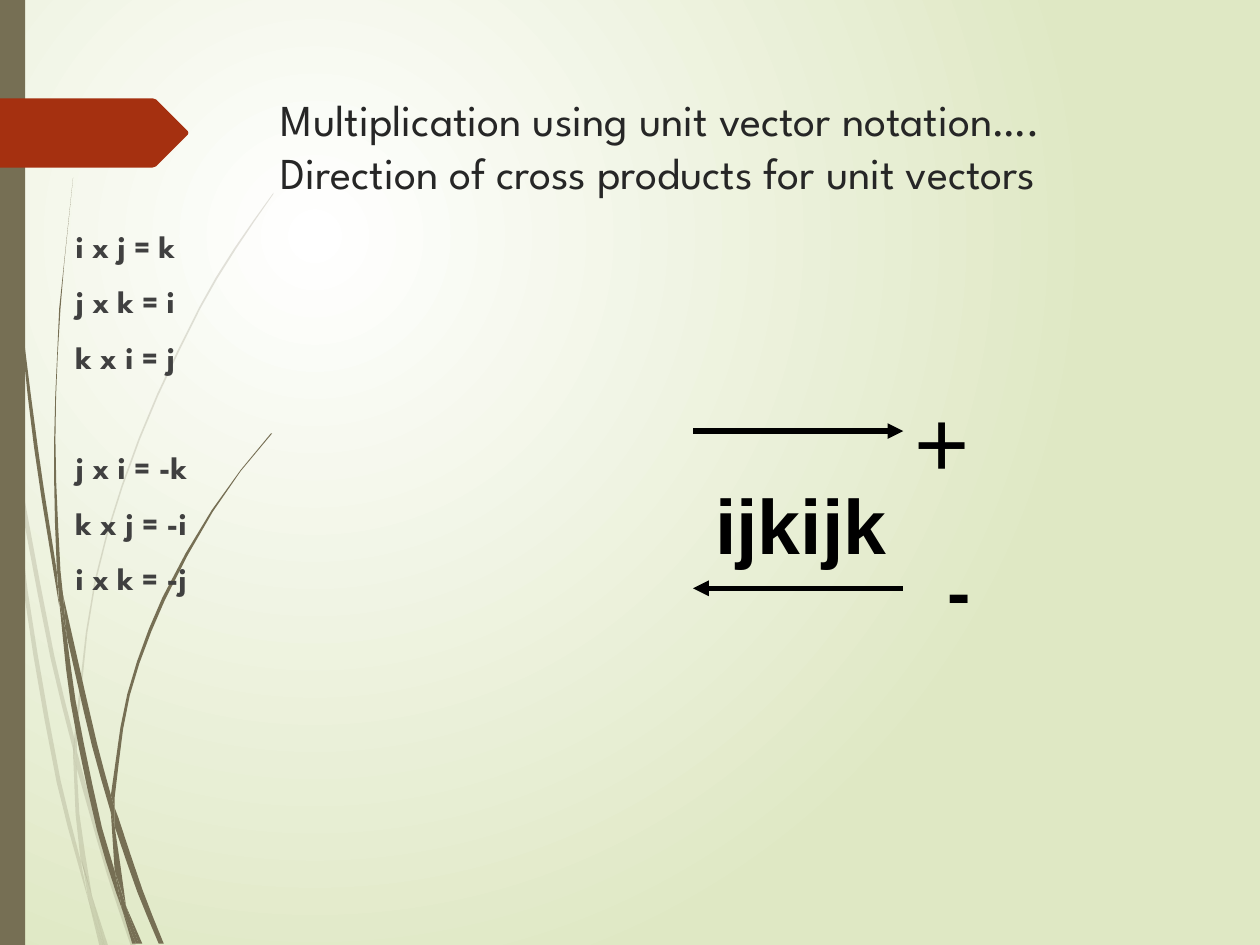
from math import dist
from typing import NamedTuple

from lxml import etree
from pptx import Presentation
from pptx.dml.color import RGBColor
from pptx.enum.shapes import MSO_CONNECTOR, MSO_SHAPE
from pptx.enum.text import MSO_ANCHOR, MSO_AUTO_SIZE, PP_ALIGN
from pptx.oxml.ns import qn
from pptx.util import Cm, Pt

STRAIGHT = MSO_CONNECTOR.STRAIGHT
RECTANGLE = MSO_SHAPE.RECTANGLE
TOP = MSO_ANCHOR.TOP
LEFT = PP_ALIGN.LEFT
FIXED_SIZE = MSO_AUTO_SIZE.NONE

WHITE = RGBColor(0xFF, 0xFF, 0xFF)
PALE_GREEN = RGBColor(0xDF, 0xE8, 0xC4)
OLIVE = RGBColor(0x76, 0x6F, 0x54)
RUST = RGBColor(0xA5, 0x30, 0x10)
TITLE_GRAY = RGBColor(0x26, 0x26, 0x26)
BODY_GRAY = RGBColor(0x40, 0x40, 0x40)
BLACK = RGBColor(0, 0, 0)

HEADING_FONT = "League Spartan"
LABEL_FONT = "Arial"
GRID = Cm(2.54) / 100  # one unit of the outline coordinates
MAX_STEPS = 3
STEP_LENGTH = 40

Point = tuple[float, float]


class Stem(NamedTuple):
    """A blade of grass, bounded by two smooth edges, one out and one back."""
    out: list[Point]
    back: list[Point]


class Label(NamedTuple):
    text: str
    left: float
    top: float
    width: float
    height: float
    size: int
    bold: bool


class Arrow(NamedTuple):
    y: float
    arrowhead: str


FAINT_STEMS = [
    Stem([(0, 282), (6, 322), (8, 350)], [(7, 344), (0, 299)]),
    Stem([(10, 345), (43, 520), (59, 586)], [(59, 599), (40, 522), (12, 376)]),
    Stem([(61, 596), (64, 607), (88, 692), (108, 751)], [(104, 751), (85, 694), (61, 610)]),
    Stem([(73, 711), (86, 751)], [(83, 751)]),
    Stem([(8, 350), (12, 376), (22, 469), (48, 619), (64, 683), (70, 714)],
         [(64, 693), (45, 621), (19, 470), (8, 350)]),
    Stem([(58, 599), (61, 610), (63, 646), (73, 711)], [(67, 692), (64, 683), (60, 646)]),
    Stem([(59, 586), (59, 584), (75, 461), (110, 348), (158, 244), (186, 197), (217, 153)],
         [(217, 154), (187, 198), (159, 245), (111, 349), (76, 462), (61, 584), (61, 596)]),
    Stem([(70, 714), (82, 751)], [(79, 751)]),
    Stem([(58, 599), (59, 586)], [(61, 596), (61, 610)]),
    Stem([(65, 683), (73, 711), (83, 751)], [(82, 751), (70, 714), (69, 707)]),
]
DARK_STEMS = [
    Stem([(2, 0), (5, 110), (14, 233), (27, 355), (47, 481)],
         [(45, 453), (30, 355), (15, 232), (6, 109), (3, 0)]),
    Stem([(50, 472), (77, 590), (88, 631)], [(88, 645), (73, 592), (53, 505)]),
    Stem([(91, 641), (94, 649), (113, 706), (130, 749)], [(126, 749), (109, 708), (91, 656)]),
    Stem([(47, 477), (53, 505), (60, 556), (81, 657), (91, 691), (97, 722)],
         [(92, 708), (77, 659), (56, 557), (47, 477)]),
    Stem([(50, 472), (48, 453), (44, 349), (48, 245), (58, 141)],
         [(47, 245), (43, 349), (45, 449), (49, 472)]),
    Stem([(100, 719), (113, 749)], [(110, 749)]),
    Stem([(47, 477), (45, 449)], [(50, 472), (53, 505)]),
    Stem([(88, 631), (101, 551), (129, 474), (168, 405), (191, 373), (215, 344)],
         [(216, 344), (191, 374), (169, 406), (131, 476), (103, 552), (91, 633), (91, 641)]),
    Stem([(97, 722), (108, 749)], [(105, 749)]),
    Stem([(88, 645), (91, 656), (100, 719)], [(96, 706), (91, 691)]),
    Stem([(88, 631), (91, 641)], [(91, 656), (88, 645)]),
    Stem([(91, 691), (100, 719), (110, 749)], [(108, 749), (97, 722)]),
]
TAG_OUTLINE = [(0, 78), (121, 78), (124, 79), (149, 104), (149.5, 105.5), (149, 107),
               (124, 132), (121, 133), (0, 133)]

TITLE_LINES = ["Multiplication using unit vector notation….",
               "Direction of cross products for unit vectors"]
PRODUCT_GROUPS = [["i x j = k", "j x k = i", "k x i = j"],
                  ["j x i = -k", "k x j = -i", "i x k = -j"]]
ARROWS = [Arrow(8.69, "tailEnd"), Arrow(11.86, "headEnd")]
LABELS = [
    Label("ijkijk", 14.17, 9.32, 4.88, 2.11, 44, True),
    Label("+", 18.19, 7.42, 1.47, 2.54, 54, False),
    Label("-", 18.85, 10.74, 1.07, 1.96, 40, True),
]


def smooth(anchors: list[Point]) -> list[Point]:
    """Sample a Hermite curve through the anchors, with chord-length tangents."""
    tangents = []
    for index in range(len(anchors)):
        before, after = anchors[max(index - 1, 0)], anchors[min(index + 1, len(anchors) - 1)]
        length = dist(before, anchors[index]) + dist(anchors[index], after) or 1
        tangents.append([(b - a) / length for a, b in zip(before, after)])
    points = [anchors[0]]
    for index, (start, end) in enumerate(zip(anchors, anchors[1:])):
        chord = dist(start, end)
        steps = min(MAX_STEPS, 1 + int(chord / STEP_LENGTH))
        for step in range(1, steps + 1):
            t = step / steps
            points.append(tuple(
                (2 * t**3 - 3 * t**2 + 1) * a + (3 * t**2 - 2 * t**3) * b
                + chord * ((t**3 - 2 * t**2 + t) * u + (t**3 - t**2) * v)
                for a, b, u, v in zip(start, end, tangents[index], tangents[index + 1])))
    return points


def paint(shape, color: RGBColor, opacity: int = 100) -> None:
    shape.shadow.inherit = False
    shape.fill.solid()
    shape.fill.fore_color.rgb = color
    shape.line.fill.background()
    if opacity < 100:
        color_node = shape.element.spPr.find(f"{qn('a:solidFill')}/{qn('a:srgbClr')}")
        etree.SubElement(color_node, qn("a:alpha"), val=str(opacity * 1000))


def draw_outline(page, points: list[Point], color: RGBColor, opacity: int = 100) -> None:
    first, *rest = [(x * GRID, y * GRID) for x, y in points]
    builder = page.shapes.build_freeform(*first, scale=1.0)
    builder.add_line_segments(rest, close=True)
    paint(builder.convert_to_shape(), color, opacity)


def draw_background(page) -> None:
    fill = page.background.fill
    fill.gradient()
    for stop, color in zip(fill.gradient_stops, (WHITE, PALE_GREEN)):
        stop.color.rgb = color
    gradient = page.element.find(f".//{qn('a:gradFill')}")
    linear = gradient.find(qn("a:lin"))
    circle = etree.Element(qn("a:path"), {"path": "circle"})
    etree.SubElement(circle, qn("a:fillToRect"), l="50000", t="50000", r="100000", b="100000")
    gradient.replace(linear, circle)


def add_span(para, text: str, font: str, size: float, color: RGBColor, bold: bool) -> None:
    span = para.add_run()
    span.text = text
    span.font.name, span.font.size, span.font.bold = font, Pt(size), bold
    span.font.color.rgb = color


def place(box, left: float, top: float, width: float, height: float):
    """Move a placeholder in front of the decoration and return its text frame."""
    box.element.getparent().append(box.element)
    box.left, box.top, box.width, box.height = Cm(left), Cm(top), Cm(width), Cm(height)
    frame = box.text_frame
    frame.auto_size, frame.vertical_anchor, frame.word_wrap = FIXED_SIZE, TOP, True
    return frame


def write_title(page) -> None:
    para = place(page.shapes.title, 5.41, 1.73, 18.31, 3.56).paragraphs[0]
    para.alignment = LEFT
    for index, line in enumerate(TITLE_LINES):
        if index:
            para.add_line_break()
        add_span(para, line, HEADING_FONT, 25.2, TITLE_GRAY, False)


def write_products(page) -> None:
    frame = place(page.placeholders[1], 1.27, 4.45, 6.35, 12.57)
    for group_index, group in enumerate(PRODUCT_GROUPS):
        for index, product in enumerate(group):
            first = group_index == index == 0
            para = frame.paragraphs[0] if first else frame.add_paragraph()
            properties = para._p.get_or_add_pPr()
            properties.set("marL", str(Cm(0.95)))
            properties.set("indent", str(-Cm(0.95)))
            etree.SubElement(properties, qn("a:buNone"))
            para.space_before = Pt(0 if first else 10 if index else 41.6)
            add_span(para, product, HEADING_FONT, 18, BODY_GRAY, True)


def draw_arrow(page, arrow: Arrow) -> None:
    line = page.shapes.add_connector(STRAIGHT, Cm(13.97), Cm(arrow.y), Cm(18.21), Cm(arrow.y))
    line.line.color.rgb = BLACK
    line.line.width = Pt(3)
    stroke = line.element.spPr.find(qn("a:ln"))
    etree.SubElement(stroke, qn(f"a:{arrow.arrowhead}"), type="triangle")
    etree.SubElement(line.element.spPr, qn("a:effectLst"))


def draw_label(page, label: Label) -> None:
    box = page.shapes.add_textbox(*map(Cm, label[1:5]))
    frame = box.text_frame
    frame.word_wrap = True
    frame.margin_top = Cm(0.3)
    add_span(frame.paragraphs[0], label.text, LABEL_FONT, label.size, BLACK, label.bold)


def main() -> None:
    deck = Presentation()
    deck.slide_width, deck.slide_height = Cm(25.4), Cm(19.05)
    page = deck.slides.add_slide(deck.slide_layouts[1])
    draw_background(page)
    for stems, opacity in ((FAINT_STEMS, 20), (DARK_STEMS, 100)):
        for stem in stems:
            draw_outline(page, smooth(stem.out) + smooth(stem.back), OLIVE, opacity)
    paint(page.shapes.add_shape(RECTANGLE, 0, 0, Cm(0.51), deck.slide_height), OLIVE)
    draw_outline(page, TAG_OUTLINE, RUST)
    write_title(page)
    write_products(page)
    for arrow in ARROWS:
        draw_arrow(page, arrow)
    for label in LABELS:
        draw_label(page, label)
    deck.save("out.pptx")


if __name__ == "__main__":
    main()
